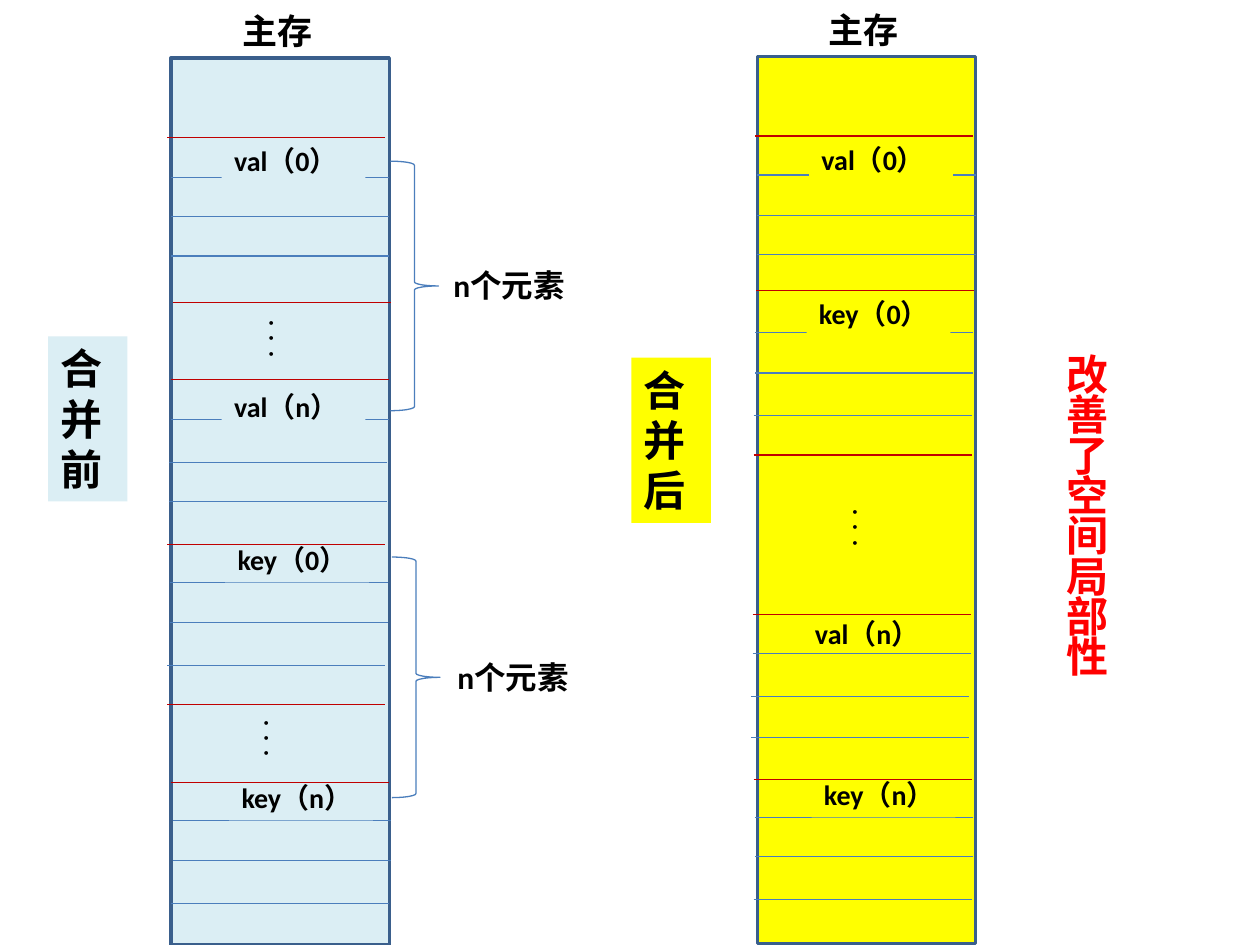
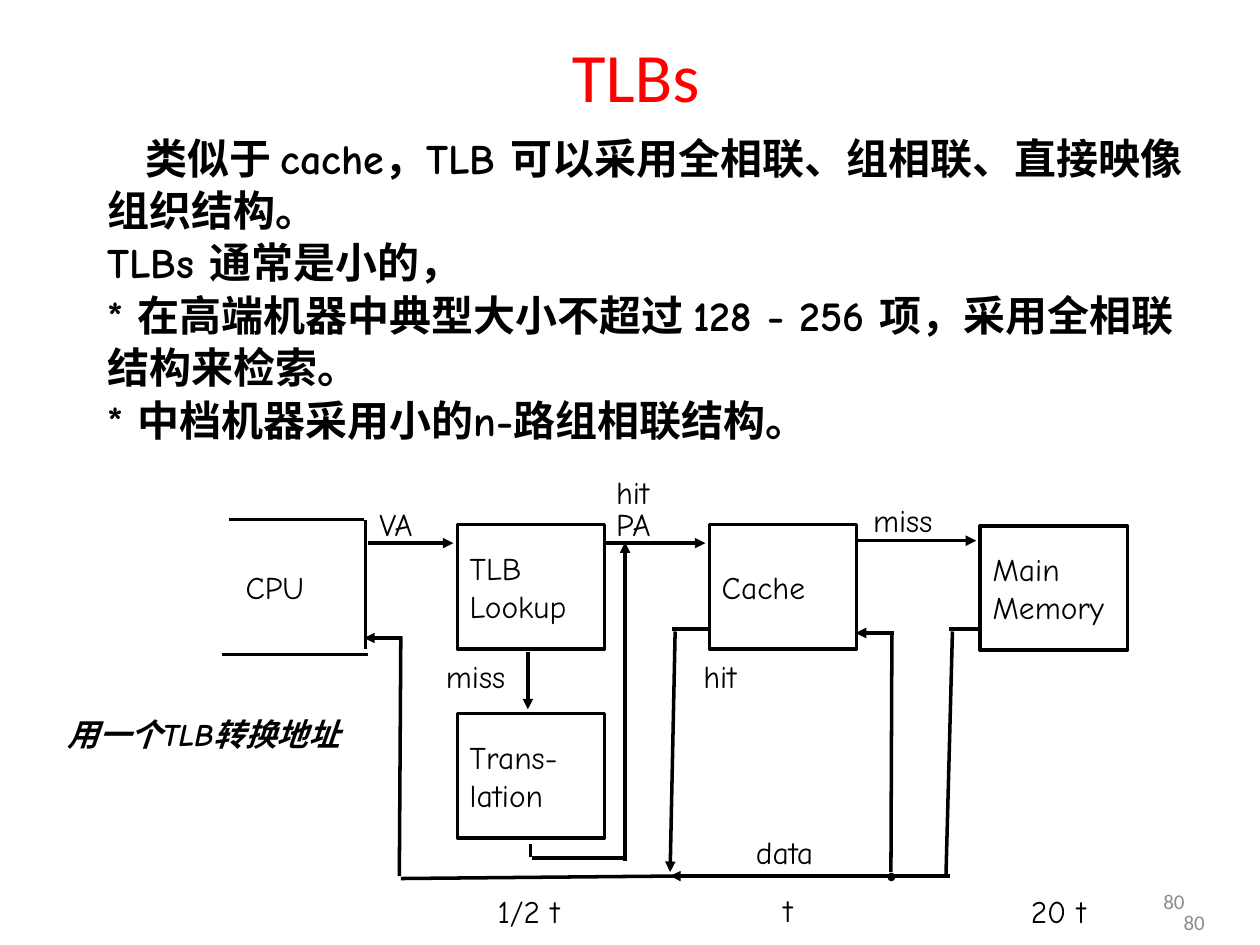
from dataclasses import dataclass
from lxml.etree import SubElement
from pptx import Presentation
from pptx.dml.color import RGBColor as Rgb
from pptx.enum.shapes import MSO_CONNECTOR as Link, MSO_SHAPE as Kind
from pptx.enum.text import MSO_ANCHOR as Anchor, MSO_AUTO_SIZE as Fit, PP_ALIGN as Align
from pptx.oxml.ns import qn
from pptx.util import Cm, Pt


@dataclass(frozen=True)
class Theme:
    """Colours, fonts and sizes shared by the slides."""
    black: str = "000000"
    red: str = "FF0000"
    gray: str = "8C8C8C"
    pale: str = "DBEEF4"
    yellow: str = "FFFF00"
    edge: str = "3A5F8C"
    blue: str = "4B7EBC"
    dark: str = "C00000"
    dot: str = "4F81BD"
    sans: str = "Calibri"
    comic: str = "Comic Neue"
    title: float = 39.6
    big: int = 24
    head: int = 20
    body: int = 18
    cell: int = 16
    foot: int = 12
    thin: float = 0.75
    bold: int = 2
    wide: tuple = (0.25, 0.13)
    tight: tuple = (0.18, 0.08)


T = Theme()
TAG = dict(font=T.comic, inset=T.tight, space=0.85)
NODE = dict(font=T.comic, anchor=Anchor.MIDDLE, wrap=False, grow=False)

BEFORE = [
    ("val（0）", (1.02, 1.6), (-0.08, 1.6), [(0, 2.41), (0, 3.2), (0, 3.99)]),
    ("val（n）", (1.02, 6.55), (0, 6.48), [(0, 7.29), (-0.05, 8.15), (-0.05, 8.94)]),
    ("key（0）", (1.09, 9.63), (-0.08, 9.8), [(-0.03, 10.57), (-0.03, 11.38), (-0.08, 12.24)]),
    ("key（n）", (1.17, 14.43), (0, 14.61), [(0.03, 15.37), (0.03, 16.18), (0, 17.04)]),
]
AFTER = [
    ("val（0）", (1.04, 1.6), (-0.05, 1.6), [(0, 2.39), (0, 3.2), (0, 3.99)]),
    ("key（0）", (0.99, 4.7), (-0.03, 4.72), [(-0.05, 5.56), (-0.05, 6.38), (-0.08, 7.24)]),
    ("val（n）", (0.91, 11.15), (-0.1, 11.25), [(-0.1, 12.04), (-0.13, 12.9), (-0.13, 13.72)]),
    ("key（n）", (1.09, 14.4), (-0.08, 14.58), [(-0.05, 15.34), (-0.05, 16.13), (-0.08, 16.99)]),
]
NODES = [("TLB\nLookup", 4.75, 0.99), ("Cache", 9.83, 0.99),
         ("Main\nMemory", 15.29, 1.02), ("Trans-\nlation", 4.75, 4.8)]
WIRES = [
    (0.15, 0.89, 2.87, 0.89), (2.9, 0.91, 2.9, 3.51), (2.95, 3.61, 0, 3.61),
    (15.29, 3.1, 14.66, 3.1), (14.73, 3.15, 14.6, 8.05), (9.12, 8.08, 3.61, 8.13),
    (3.58, 8.08, 3.61, 3.25), (13.49, 8, 13.51, 3.15), (9.83, 3.1, 9.07, 3.1),
    (6.22, 7.44, 6.22, 7.7), (6.25, 7.72, 8.08, 7.72),
]
ARROWS = [
    (2.95, 1.37, 4.67, 1.37), (7.7, 1.37, 9.75, 1.37), (12.83, 1.32, 15.21, 1.32),
    (3.63, 3.28, 2.87, 3.28), (13.56, 3.18, 12.78, 3.18), (9.14, 3.15, 9.04, 8),
    (6.17, 3.56, 6.17, 4.72), (8.13, 7.77, 8.13, 1.35), (14.68, 8.08, 9.04, 8.08),
]
TAGS = [
    ("CPU", 0.3, 1.91, 1.55), ("VA", 3, 0.64, 1.24), ("PA", 7.77, 0.64, 1.14),
    ("hit", 7.77, 0, 1.19), ("miss", 12.95, 0.56, 1.65), ("hit", 9.53, 3.71, 1.19),
    ("miss", 4.34, 3.71, 1.65), ("data", 10.59, 7.26, 1.73),
    ("1/2 t", 5.38, 8.43, 1.85), ("t", 11.15, 8.41, 0.66), ("20 t", 16.13, 8.43, 1.7),
]


def write(shape, text, font=T.sans, size=T.body, color=T.black, bold=None, ital=None,
          align=Align.LEFT, anchor=Anchor.TOP, inset=T.wide, space=None,
          wrap=True, grow=True, vert=None, indent=0):
    """Fill a shape with one paragraph per line of text."""
    frame = shape.text_frame
    frame.word_wrap = wrap
    frame.auto_size = Fit.SHAPE_TO_FIT_TEXT if grow else Fit.NONE
    frame.vertical_anchor = anchor
    frame.margin_left = frame.margin_right = Cm(inset[0])
    frame.margin_top = frame.margin_bottom = Cm(inset[1])
    if vert:
        frame._txBody.bodyPr.set("vert", vert)
    for i, line in enumerate(text.split("\n")):
        para = frame.add_paragraph() if i else frame.paragraphs[0]
        para.alignment = align
        para.line_spacing = space
        if indent and not i:
            para._p.get_or_add_pPr().set("indent", str(Cm(indent)))
        run = para.add_run()
        run.text = line
        face = run.font
        face.name, face.size, face.bold, face.italic = font, Pt(size), bold, ital
        face.color.rgb = Rgb.from_string(color)


def label(slide, text, x, y, w, h, **form):
    """Add a text box."""
    write(slide.shapes.add_textbox(Cm(x), Cm(y), Cm(w), Cm(h)), text, **form)


def block(slide, kind, x, y, w, h, fill=None, edge=None, width=T.bold):
    """Add a preset shape with a plain fill and outline."""
    shape = slide.shapes.add_shape(kind, Cm(x), Cm(y), Cm(w), Cm(h))
    shape.shadow.inherit = False
    for part, color in ((shape.fill, fill), (shape.line.fill, edge)):
        if color:
            part.solid()
            part.fore_color.rgb = Rgb.from_string(color)
        else:
            part.background()
    if edge:
        shape.line.width = Pt(width)
    return shape


def wire(slide, x, y, x2, y2, color=T.black, width=T.bold, arrow=False):
    """Add a straight line, with an arrowhead at its end if asked."""
    line = slide.shapes.add_connector(Link.STRAIGHT, Cm(x), Cm(y), Cm(x2), Cm(y2))
    line.line.color.rgb = Rgb.from_string(color)
    line.line.width = Pt(width)
    if arrow:
        SubElement(line.line._get_or_add_ln(), qn("a:tailEnd"), type="triangle")
    SubElement(line._element.spPr, qn("a:effectLst"))


def column(slide, x, y, fill, rows, gaps, dots, under=()):
    """Draw a memory column with its cells, the labels in under beneath the lines."""
    def rule(dx, dy, color):
        wire(slide, x + dx, y + dy, x + dx + 4.4, y + dy, color, T.thin)

    label(slide, "主存", x + 1.19, y - 1.1, 2.77, 1.12, size=T.head, bold=True)
    block(slide, Kind.RECTANGLE, x, y, 4.4, 17.88, fill, T.edge)
    for text, (dx, dy), red, blues in rows:
        def name():
            tile = block(slide, Kind.RECTANGLE, x + dx, y + dy, 2.9, 0.94, fill)
            write(tile, text, size=T.cell, bold=True)

        if text in under:
            name()
        for spot in blues:
            rule(*spot, T.blue)
        if text not in under:
            name()
        rule(*red, T.dark)
    for gap in gaps:
        rule(*gap, T.dark)
    for dx, dy in dots:
        label(slide, ". . .", x + dx, y + dy, 1.27, 1.42, vert="eaVert")


def brace(slide, x, y, h, dx, dy):
    """Bracket a run of cells and count them."""
    block(slide, Kind.RIGHT_BRACE, x, y, 0.97, h, edge=T.blue, width=T.thin)
    label(slide, "n个元素", x + dx, y + dy, 3.91, 1.02, bold=True)


def badge(slide, text, x, y, fill):
    """Name a column in a coloured tile."""
    tile = block(slide, Kind.RECTANGLE, x, y, 1.6, 3.33, fill)
    write(tile, text, size=T.big, bold=True)


def merge(slide):
    """Compare the memory layout before and after merging."""
    column(slide, 3.45, 1.17, T.pale, BEFORE, [(0.03, 4.93), (-0.08, 13.03)],
           [(1.6, 5.15), (1.5, 13.21)])
    column(slide, 15.27, 1.14, T.yellow, AFTER, [(-0.08, 8.03)], [(1.55, 8.99)],
           under=("val（n）",))
    brace(slide, 7.87, 3.25, 5.03, 1.02, 1.98)
    brace(slide, 7.9, 11.23, 4.85, 1.07, 1.9)
    badge(slide, "合并前", 0.97, 6.78, T.pale)
    badge(slide, "合并后", 12.73, 7.21, T.yellow)
    label(slide, "改善了空间局部性", 21.26, 7.09, 1.3, 6.81, size=T.big,
          color=T.red, bold=True, space=0.8)


def lookup(slide, x, y):
    """Draw the path of an address from the processor to memory."""
    for text, dx, dy in NODES:
        node = block(slide, Kind.RECTANGLE, x + dx, y + dy, 2.97, 2.51, edge=T.black)
        write(node, text, **NODE)
    for lines, arrow in ((WIRES, False), (ARROWS, True)):
        for x1, y1, x2, y2 in lines:
            wire(slide, x + x1, y + y1, x + x2, y + y2, arrow=arrow)
    block(slide, Kind.OVAL, x + 13.46, y + 8.05, 0.08, 0.1, T.dot, T.black)
    for text, dx, dy, w in TAGS:
        label(slide, text, x + dx, y + dy, w, 0.79, wrap=False, **TAG)


def buffer(slide):
    """Explain the TLB with text and a diagram."""
    label(slide, "TLBs", 1.7, 0.94, 22.23, 1.14, size=T.title, color=T.red,
          align=Align.CENTER, anchor=Anchor.MIDDLE, grow=False)
    text = ("类似于 cache，TLB 可以采用全相联、组相联、直接映像组织结构。\n"
            "TLBs 通常是小的，\n"
            "* 在高端机器中典型大小不超过 128 - 256 项，采用全相联结构来检索。\n"
            "* 中档机器采用小的n-路组相联结构。")
    label(slide, text, 1.98, 2.54, 22.45, 6.55, font=T.comic, size=T.big, bold=True,
          inset=T.tight, space=Pt(30), indent=0.77)
    lookup(slide, 4.47, 9.58)
    label(slide, "用一个TLB转换地址", 1.19, 14.45, 6.05, 0.79, bold=True, ital=True, **TAG)
    for x, y in ((18.21, 17.65), (18.62, 18.08)):
        label(slide, "80", x, y, 5.92, 1.02, size=T.foot, color=T.gray,
              align=Align.RIGHT, anchor=Anchor.MIDDLE, grow=False)


def main():
    """Build and save the slides."""
    deck = Presentation()
    deck.slide_width, deck.slide_height = Cm(25.4), Cm(19.05)
    for draw in (merge, buffer):
        draw(deck.slides.add_slide(deck.slide_layouts[6]))
    deck.save("out.pptx")


if __name__ == "__main__":
    main()
